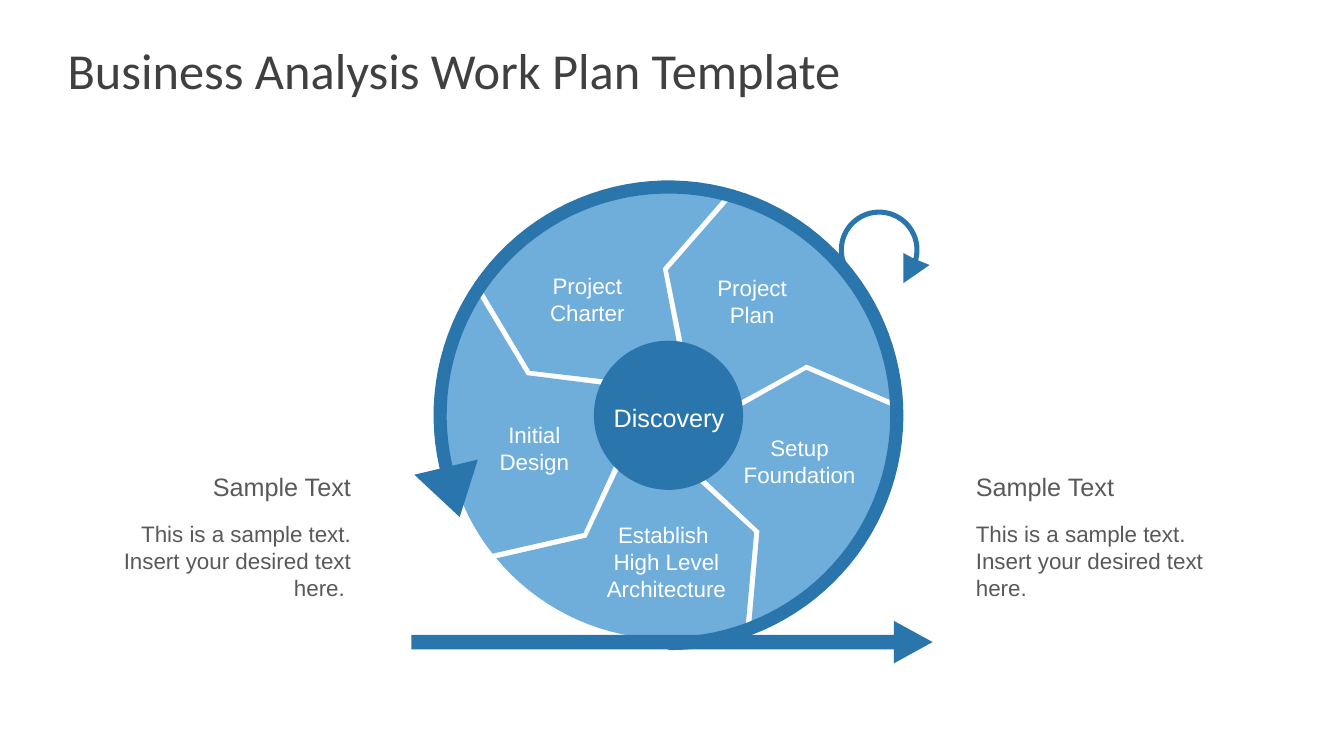
"""Build the Business Analysis Work Plan slide with its five-step wheel."""
import math

import lxml.etree
import pptx
import pptx.dml.color
import pptx.enum.shapes
import pptx.enum.text
import pptx.oxml.ns
import pptx.util
from pptx.util import Inches

TITLE = "Business Analysis Work Plan Template"
DARK, LIGHT, WHITE, GREY, TITLE_GREY = "2A75AC", "4B99D3", "FFFFFF", "595959", "404040"
ALIGN = pptx.enum.text.PP_ALIGN

WHEEL_LABELS = [
    (("Project", "Charter"), (5.35, 2.65, 0.95, 0.64), 16, False),
    (("Discovery",), (5.98, 3.94, 1.31, 0.4), 18, False),
    (("Project", "Plan"), (7.01, 2.67, 0.9, 0.64), 16, False),
    (("Setup", "Foundation"), (7.27, 4.26, 1.32, 0.64), 16, False),
    (("Establish ", "High Level Architecture"), (5.84, 5.12, 1.54, 0.91), 16, True),
    (("Initial", "Design"), (4.85, 4.13, 0.9, 0.64), 16, False),
]
SIDE_NOTES = [
    (1.03, 2.55, ALIGN.RIGHT, "Sample Text",
     "This is a sample text. Insert your desired text here. "),
    (9.58, 2.71, ALIGN.LEFT, "Sample Text",
     "This is a sample text. Insert your desired text here."),
]

WHEEL = (6.63, 4.12)
SECTOR_COUNT = 5
HUB_RADIUS = 0.74
LOOP = (8.72, 2.48)
LOOP_ARROW = [(9.22, 2.63), (8.96, 2.81), (8.96, 2.51)]
RING_ARROW = [(4.74, 4.56), (4.56, 5.13), (4.11, 4.71)]


def color(value):
    return pptx.dml.color.RGBColor.from_string(value)


def paint(shape, fill, opacity=None):
    shape.shadow.inherit = False
    shape.fill.solid()
    shape.fill.fore_color.rgb = color(fill)
    shape.line.fill.background()
    if opacity is not None:
        tone = shape.element.spPr.find(".//" + pptx.oxml.ns.qn("a:srgbClr"))
        alpha = lxml.etree.SubElement(tone, pptx.oxml.ns.qn("a:alpha"))
        alpha.set("val", str(opacity * 1000))


def polar(center, radius, degrees):
    """Return the point at an angle measured clockwise from the top."""
    angle = math.radians(degrees)
    return center[0] + radius * math.sin(angle), center[1] - radius * math.cos(angle)


def arc(center, radius, start, end):
    steps = math.ceil(abs(end - start) / 3)
    return [polar(center, radius, start + (end - start) * step / steps)
            for step in range(steps + 1)]


def add_outline(page, points, fill, opacity=None):
    corners = [(Inches(x), Inches(y)) for x, y in points]
    builder = page.shapes.build_freeform(*corners[0])
    builder.add_line_segments(corners[1:], close=True)
    paint(builder.convert_to_shape(), fill, opacity)


def add_text(shapes, place, lines, size, tone, align, wrap=True):
    box = shapes.add_textbox(*map(Inches, place))
    frame = box.text_frame
    frame.word_wrap = wrap
    frame.auto_size = pptx.enum.text.MSO_AUTO_SIZE.SHAPE_TO_FIT_TEXT
    frame.text = "\n".join(lines)
    for para in frame.paragraphs:
        para.alignment = align
        for span in para.runs:
            span.font.name = "Arial"
            span.font.size = pptx.util.Pt(size)
            span.font.color.rgb = color(tone)


def add_title(page):
    title = page.shapes.title
    title.left, title.top, title.width, title.height = map(Inches, (0.67, 0.3, 12, 0.78))
    frame = title.text_frame
    frame.text = TITLE
    frame.margin_left = frame.margin_right = 0
    frame.margin_top = frame.margin_bottom = Inches(0.07)
    frame.vertical_anchor = pptx.enum.text.MSO_ANCHOR.MIDDLE
    para = frame.paragraphs[0]
    para.alignment = ALIGN.LEFT
    font = para.runs[0].font
    font.name, font.size = "Calibri", pptx.util.Pt(36)
    font.color.rgb = color(TITLE_GREY)


def add_wheel(page):
    turn = 360 / SECTOR_COUNT
    for index in range(SECTOR_COUNT):
        end = index * turn
        start = end - turn
        points = arc(WHEEL, 2.22, start + 15.8, end + 14.25)
        points.append(polar(WHEEL, 1.46, end - 2.2))
        points += arc(WHEEL, 0.72, end + 6.8, start + 11.5)
        points.append(polar(WHEEL, 1.44, start - 0.2))
        add_outline(page, points, LIGHT, 80)
    hub = page.shapes.add_shape(
        pptx.enum.shapes.MSO_SHAPE.OVAL, Inches(WHEEL[0] - HUB_RADIUS),
        Inches(WHEEL[1] - HUB_RADIUS), Inches(2 * HUB_RADIUS), Inches(2 * HUB_RADIUS))
    paint(hub, DARK)
    for lines, place, size, wrap in WHEEL_LABELS:
        add_text(page.shapes, place, lines, size, WHITE, ALIGN.CENTER, wrap)


def add_side_notes(page):
    for left, width, align, heading, body in SIDE_NOTES:
        shapes = page.shapes.add_group_shape().shapes
        add_text(shapes, (left, 5.11, width, 0.91), [body], 16, GREY, align)
        add_text(shapes, (left, 4.63, width, 0.4), [heading], 18, GREY, align)


def add_arrows(page):
    base = page.shapes.add_shape(pptx.enum.shapes.MSO_SHAPE.RIGHT_ARROW,
                                 *map(Inches, (4.08, 6.16, 5.17, 0.42)))
    base.adjustments[0], base.adjustments[1] = 0.342, 0.911
    paint(base, DARK)
    loop = arc(LOOP, 0.4, 223, 465) + LOOP_ARROW + arc(LOOP, 0.35, 464, 227)
    add_outline(page, loop, DARK)
    ring = arc(WHEEL, 2.33, 254.2, 540) + arc(WHEEL, 2.2, 540, 254.2)
    add_outline(page, ring, DARK)
    add_outline(page, RING_ARROW, DARK)


def main():
    deck = pptx.Presentation()
    deck.slide_width, deck.slide_height = Inches(13.33), Inches(7.5)
    page = deck.slides.add_slide(deck.slide_layouts[5])
    add_title(page)
    add_wheel(page)
    add_side_notes(page)
    add_arrows(page)
    deck.save("out.pptx")


if __name__ == "__main__":
    main()
